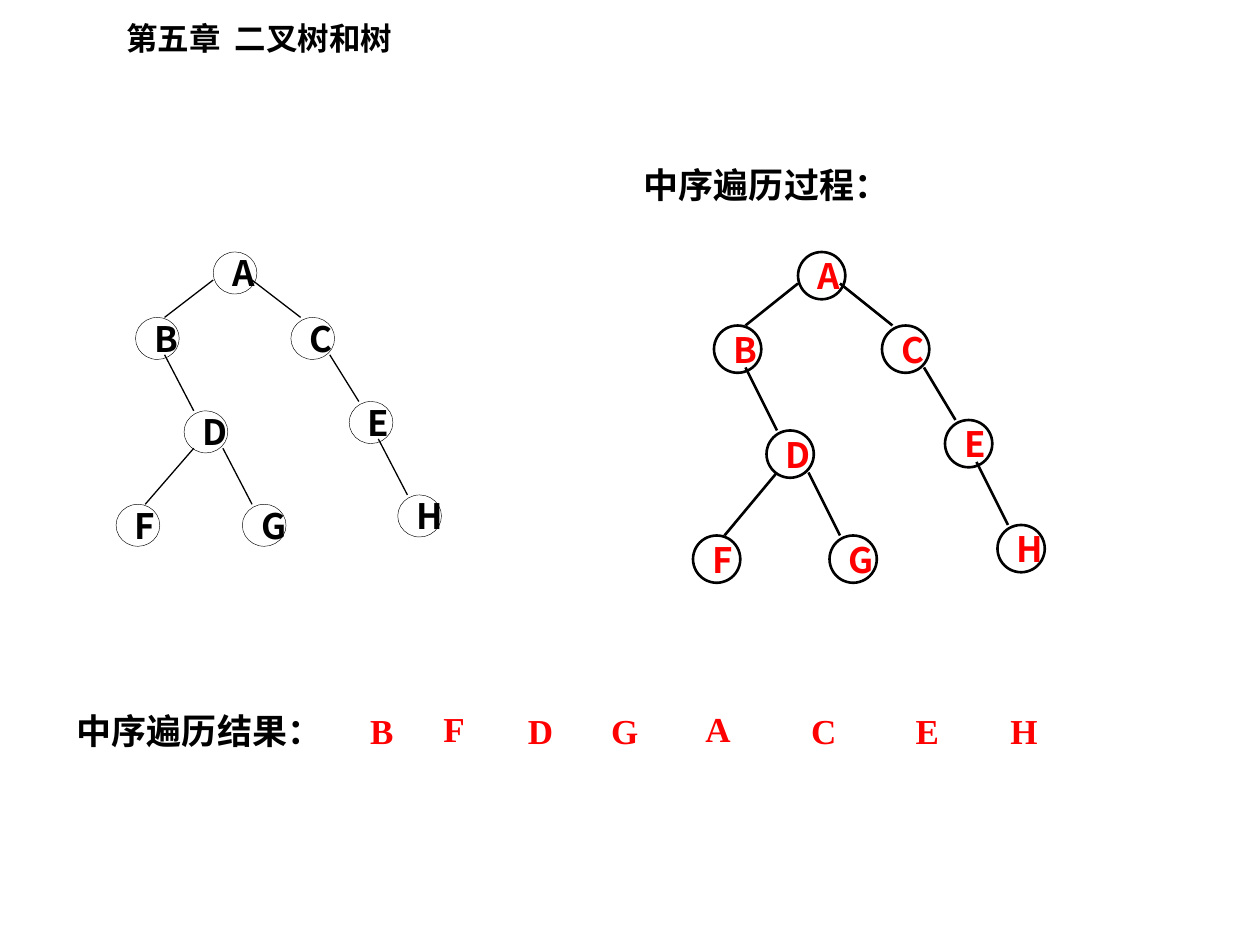
import pptx
import pptx.dml.color
import pptx.enum.shapes
import pptx.enum.text
import pptx.oxml
import pptx.oxml.ns
import pptx.util
from dataclasses import dataclass
from typing import Any

Cm = pptx.util.Cm
Pt = pptx.util.Pt
Color = pptx.dml.color.RGBColor
Align = pptx.enum.text.PP_ALIGN
Anchor = pptx.enum.text.MSO_ANCHOR
Fit = pptx.enum.text.MSO_AUTO_SIZE

BLACK = Color(0x00, 0x00, 0x00)
RED = Color(0xFF, 0x00, 0x00)
SERIF = "Times New Roman"
SANS = "Noto Sans CJK SC"
UNIT = 2.54 / 12  # grid step in cm
SIZE = 4.5  # node diameter in grid steps


@dataclass
class Node:
    name: str
    x: float
    y: float


@dataclass
class Edge:
    x1: float
    y1: float
    x2: float
    y2: float


@dataclass
class Tree:
    left: float
    top: float
    wide: float  # scale across
    high: float  # scale down
    ink: Color
    line: float
    thin: float  # node outline


@dataclass
class Label:
    text: str
    left: float
    top: float
    width: float
    height: float
    ink: Color
    space: float = 1.0


# Tree layout in grid steps from the tree's top left corner
NODES = [
    Node("A", 10, 0), Node("B", 2, 7), Node("D", 7, 17), Node("C", 18, 7),
    Node("E", 24, 16), Node("G", 13, 27), Node("H", 29, 26), Node("F", 0, 27),
]
EDGES = [
    Edge(10, 3, 5, 7), Edge(14, 3, 19, 7), Edge(22, 11, 25, 16),
    Edge(27, 20, 30, 26), Edge(5, 11, 8, 17), Edge(11, 21, 14, 27),
    Edge(3, 27, 8, 21),
]
WALK = Tree(13.97, 5.08, 1, 1, RED, 1.5, 1.5)
PLAIN = Tree(2.34, 5.08, 0.925, 0.89, BLACK, 0.75, 0.25)

# Captions and the visiting order
LABELS = [
    Label("中序遍历过程：", 12.73, 3.18, 5.46, 1.12, BLACK),
    Label("中序遍历结果：", 1.3, 13.97, 5.46, 1.32, BLACK, 1.25),
    Label("B", 7.21, 13.97, 0.97, 1.32, RED, 1.25),
]
ORDER = [
    ("F", 8.69, 14.14), ("D", 10.39, 14.17), ("G", 12.07, 14.17),
    ("A", 13.97, 14.14), ("C", 16.1, 14.17), ("E", 18.21, 14.17),
    ("H", 20.12, 14.17),
]
LABELS += [Label(name, x, y, 1.02, 1.12, RED) for name, x, y in ORDER]


def write(frame: Any, text: str, size: float, face: str, ink: Color,
          align: Any = Align.LEFT) -> Any:
    para = frame.paragraphs[0]
    para.alignment = align
    run = para.add_run()
    run.text = text
    run.font.size = Pt(size)
    run.font.name = face
    run.font.bold = True
    run.font.color.rgb = ink
    return para


def draw_node(shapes: Any, tree: Tree, node: Node) -> None:
    across, down = UNIT * tree.wide, UNIT * tree.high
    oval = shapes.add_shape(
        pptx.enum.shapes.MSO_SHAPE.OVAL,
        Cm(tree.left + node.x * across), Cm(tree.top + node.y * down),
        Cm(SIZE * across), Cm(SIZE * down))
    oval.shadow.inherit = False
    oval.fill.background()
    oval.line.color.rgb = BLACK
    oval.line.width = Pt(tree.thin)
    oval.text_frame.vertical_anchor = Anchor.MIDDLE
    write(oval.text_frame, node.name, 20, SANS, tree.ink, Align.CENTER)


def draw_edge(shapes: Any, tree: Tree, edge: Edge) -> None:
    across, down = UNIT * tree.wide, UNIT * tree.high
    link = shapes.add_connector(
        pptx.enum.shapes.MSO_CONNECTOR.STRAIGHT,
        Cm(tree.left + edge.x1 * across), Cm(tree.top + edge.y1 * down),
        Cm(tree.left + edge.x2 * across), Cm(tree.top + edge.y2 * down))
    link.line.color.rgb = BLACK
    link.line.width = Pt(tree.line)
    effect = pptx.oxml.parse_xml(
        "<a:effectLst %s/>" % pptx.oxml.ns.nsdecls("a"))
    link._element.spPr.append(effect)


def draw_tree(shapes: Any, tree: Tree) -> None:
    for node in NODES:
        draw_node(shapes, tree, node)
    for edge in EDGES:
        draw_edge(shapes, tree, edge)


def draw_label(shapes: Any, label: Label) -> None:
    box = shapes.add_textbox(Cm(label.left), Cm(label.top),
                             Cm(label.width), Cm(label.height))
    box.text_frame.word_wrap = False
    box.text_frame.auto_size = Fit.SHAPE_TO_FIT_TEXT
    para = write(box.text_frame, label.text, 20, SERIF, label.ink)
    para.line_spacing = label.space


def main() -> None:
    deck = pptx.Presentation()
    deck.slide_width, deck.slide_height = Cm(25.4), Cm(19.05)
    slide = deck.slides.add_slide(deck.slide_layouts[5])
    shapes = slide.shapes

    # Chapter title
    title = shapes.title
    title.left, title.top = Cm(2.29), Cm(0.25)
    title.width, title.height = Cm(6.17), Cm(1.02)
    title.text_frame.auto_size = Fit.SHAPE_TO_FIT_TEXT
    title.text_frame.vertical_anchor = Anchor.TOP
    write(title.text_frame, "第五章  二叉树和树", 18, SERIF, BLACK)

    # Traversal tree, captions, then the plain tree as one group
    draw_tree(shapes, WALK)
    for label in LABELS:
        draw_label(shapes, label)
    draw_tree(shapes.add_group_shape().shapes, PLAIN)

    deck.save("out.pptx")


if __name__ == "__main__":
    main()
